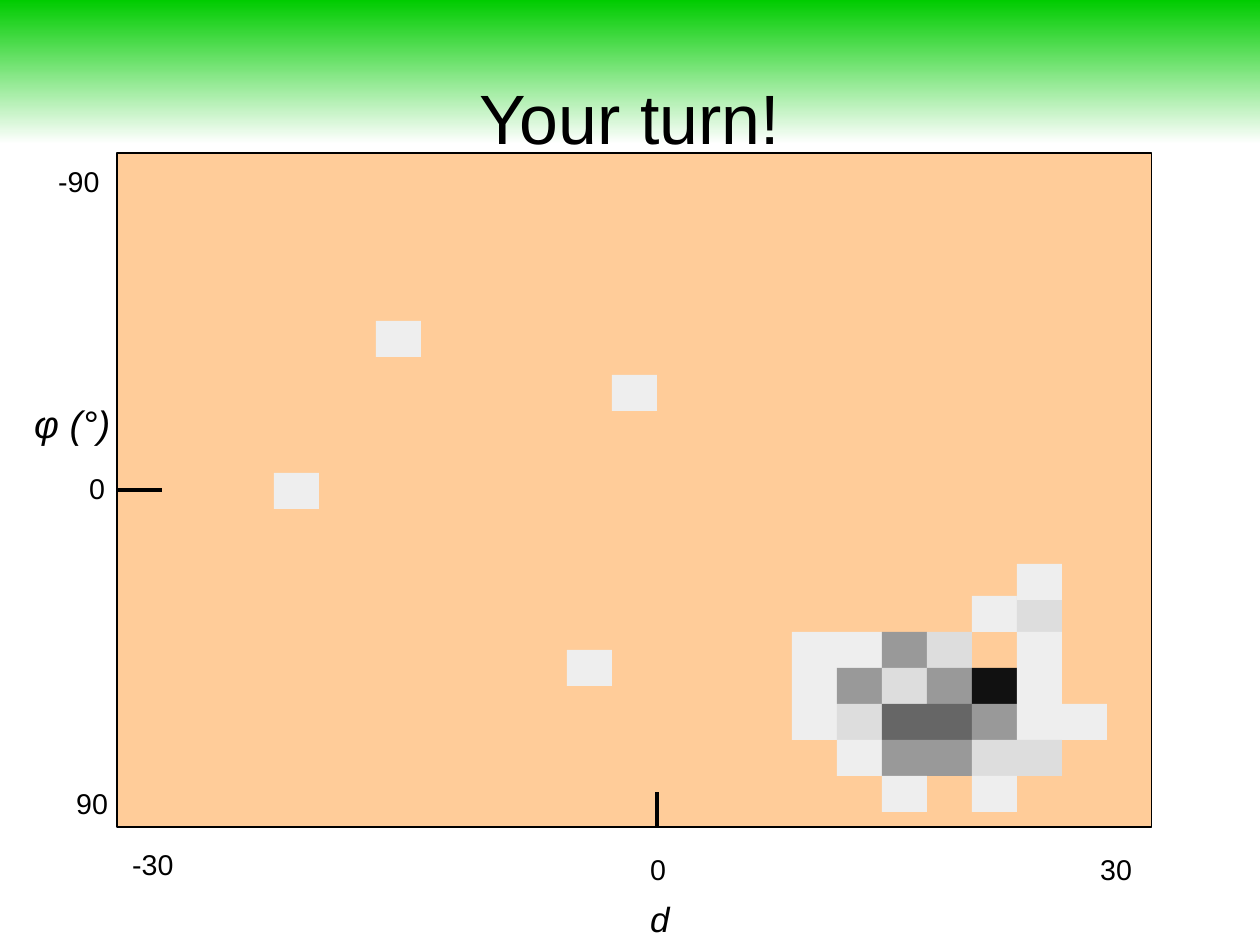
import pptx
import pptx.dml.color
import pptx.enum.shapes
import pptx.enum.text
import pptx.oxml.ns
import pptx.util
from lxml import etree

PX = 8000  # EMU per px
FONT = "Arial"
BIN_WIDTH, BIN_HEIGHT = 45, 36
CLUSTER_LEFT, CLUSTER_TOP = 792, 596

# One hex digit per bin, repeated six times for its grey; "." is an empty bin.
CLUSTER = [
    "....ED.",
    "EE9D.E.",
    "E9D91E.",
    "ED669EE",
    ".E99DD.",
    "..E.E..",
]
LONE_BINS = [(376, 321), (612, 375), (274, 473), (567, 650), (1017, 564)]
LABELS = [
    ("-90", 47, 158, 64, 66, 18, False),
    ("0", 78, 465, 62, 43, 18, False),
    ("90", 65, 780, 62, 66, 18, False),
    ("-30", 121, 841, 64, 66, 18, False),
    ("0", 639, 846, 62, 66, 18, False),
    ("30", 1089, 846, 62, 66, 18, False),
    ("φ (°)", 23, 395, 130, 224, 24, True),
    ("d (cm)", 639, 892, 121, 63, 22, True),
]


def px(*lengths):
    return [pptx.util.Emu(length * PX) for length in lengths]


def rgb(color):
    return pptx.dml.color.RGBColor.from_string(color)


def style_font(paragraph, size, italic=False):
    font = paragraph.font
    font.name, font.size, font.italic = FONT, pptx.util.Pt(size), italic
    font.color.rgb = rgb("000000")


def add_rectangle(slide, left, top, width, height, color=None):
    rectangle = slide.shapes.add_shape(
        pptx.enum.shapes.MSO_SHAPE.RECTANGLE, *px(left, top, width, height))
    rectangle.shadow.inherit = False
    rectangle.line.fill.background()
    if color:
        rectangle.fill.solid()
        rectangle.fill.fore_color.rgb = rgb(color)
    return rectangle


def add_bin(slide, left, top, shade):
    add_rectangle(slide, left, top, BIN_WIDTH, BIN_HEIGHT, shade * 6)


def draw_hairline(line):
    line.color.rgb = rgb("000000")
    line.width = 0


def add_tick(slide, x1, y1, x2, y2):
    tick = slide.shapes.add_connector(
        pptx.enum.shapes.MSO_CONNECTOR.STRAIGHT, *px(x1, y1, x2, y2))
    draw_hairline(tick.line)
    etree.SubElement(tick._element.spPr, pptx.oxml.ns.qn("a:effectLst"))
    return tick


def add_label(slide, text, left, top, width, height, size, italic):
    label = slide.shapes.add_textbox(*px(left, top, width, height))
    frame = label.text_frame
    frame.word_wrap = False
    frame.auto_size = pptx.enum.text.MSO_AUTO_SIZE.SHAPE_TO_FIT_TEXT
    frame.text = text
    style_font(frame.paragraphs[0], size, italic)


def add_header(slide, text):
    """Place the title on a band that fades from green to white."""
    band = add_rectangle(slide, 0, 0, 1260, 144)
    band.fill.gradient()
    band.fill.gradient_angle = 270
    for stop, color in zip(band.fill.gradient_stops, ("00CC00", "FFFFFF")):
        stop.color.rgb = rgb(color)

    title = slide.shapes.title
    band._element.addnext(title._element)
    title.left, title.top, title.width, title.height = px(63, 38, 1134, 158)
    frame = title.text_frame
    frame.margin_left = frame.margin_right = 0
    frame.margin_top = frame.margin_bottom = 0
    frame.vertical_anchor = pptx.enum.text.MSO_ANCHOR.MIDDLE
    frame.text = text
    frame.paragraphs[0].alignment = pptx.enum.text.PP_ALIGN.CENTER
    style_font(frame.paragraphs[0], 44)


def add_histogram(slide):
    plot = add_rectangle(slide, 117, 153, 1035, 674, "FFCC99")
    draw_hairline(plot.line)
    add_tick(slide, 117, 490, 162, 490).begin_connect(plot, 1)
    add_tick(slide, 657, 827, 657, 792)

    for row, shades in enumerate(CLUSTER):
        for column, shade in enumerate(shades):
            if shade != ".":
                add_bin(slide, CLUSTER_LEFT + column * BIN_WIDTH,
                        CLUSTER_TOP + row * BIN_HEIGHT, shade)
    for left, top in LONE_BINS:
        add_bin(slide, left, top, "E")


def main():
    deck = pptx.Presentation()
    deck.slide_width, deck.slide_height = px(1260, 945)
    slide = deck.slides.add_slide(deck.slide_layouts.get_by_name("Title Only"))
    add_header(slide, "Your turn!")
    add_histogram(slide)
    for label in LABELS:
        add_label(slide, *label)
    deck.save("out.pptx")


if __name__ == "__main__":
    main()
